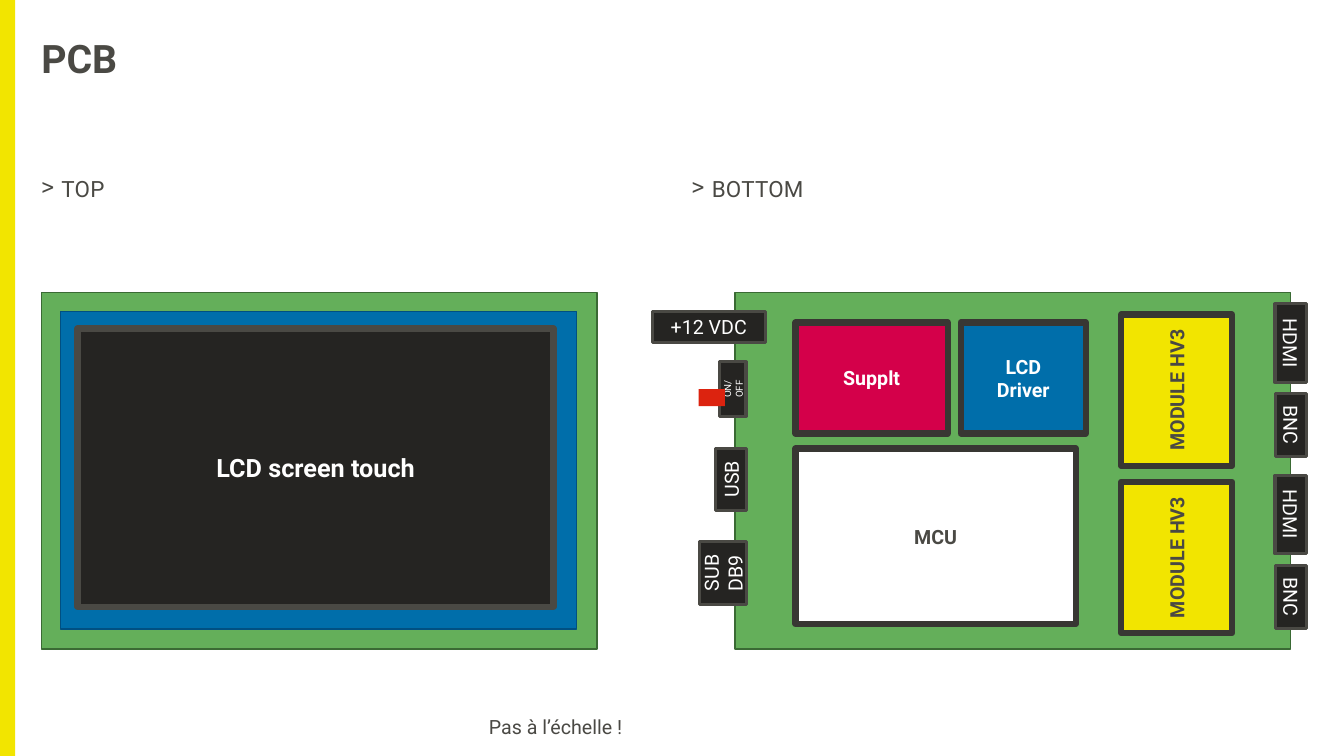
import pptx
import pptx.dml.color
import pptx.enum.shapes
import pptx.enum.text
import pptx.oxml.ns
import pptx.util
import lxml.etree

ALIGN = pptx.enum.text.PP_ALIGN
ANCHOR = pptx.enum.text.MSO_ANCHOR
GREY, DARK, BLACK, WHITE = "4A4944", "383733", "252422", "FFFFFF"
YELLOW, GREEN, BLUE, PINK, RED = "F2E500", "64AF5A", "006EAA", "D4004A", "DC230F"


def rgb(color):
    return pptx.dml.color.RGBColor.from_string(color)


class Board:
    """Draws board parts on one slide, placed on a grid of tenths of an inch."""

    def __init__(self, prs, font="Roboto", cell=0.1):
        self.slide = prs.slides.add_slide(prs.slide_layouts[6])
        self.font, self.cell = font, cell

    def grid(self, *lengths):
        return [pptx.util.Inches(n * self.cell) for n in lengths]

    def fill_text(self, tf, text, size, color, bold=False, **para):
        for i, line in enumerate(text.split("\n")):
            p = tf.add_paragraph() if i else tf.paragraphs[0]
            for name, value in para.items():
                setattr(p, name, value)
            r = p.add_run()
            r.text = line
            fmt = {"name": self.font, "size": pptx.util.Pt(size), "bold": bold}
            for name, value in fmt.items():
                setattr(r.font, name, value)
            r.font.color.rgb = rgb(color)

    def rect(self, at, fill, line=None, width=0, turn=0):
        rectangle = pptx.enum.shapes.MSO_SHAPE.RECTANGLE
        sp = self.slide.shapes.add_shape(rectangle, *self.grid(*at))
        sp.shadow.inherit = False
        sp.rotation = turn
        sp.fill.solid()
        sp.fill.fore_color.rgb = rgb(fill)
        if line:
            sp.line.color.rgb = rgb(line)
            sp.line.width = pptx.util.Pt(width)
        else:
            sp.line.fill.background()
        return sp

    def label(self, sp, text, size, color, bold):
        sp.text_frame.word_wrap = True
        sp.text_frame.vertical_anchor = ANCHOR.MIDDLE
        self.fill_text(sp.text_frame, text, size, color, bold, alignment=ALIGN.CENTER)

    def block(self, at, text, fill, color=WHITE, line=DARK, size=14, turn=0):
        self.label(self.rect(at, fill, line, 4.5, turn), text, size, color, True)

    def port(self, at, text, turn=0, size=14, vert=None):
        sp = self.rect(at, BLACK, GREY, 2.25, turn)
        self.label(sp, text, size, WHITE, False)
        if vert:
            sp.text_frame._txBody.bodyPr.set("vert", vert)

    def text(self, at, text, size, bold=False, wrap=True, inset=None, **para):
        tf = self.slide.shapes.add_textbox(*self.grid(*at)).text_frame
        tf.word_wrap = wrap
        if inset is not None:
            for side in ("left", "top", "right", "bottom"):
                setattr(tf, f"margin_{side}", inset)
        self.fill_text(tf, text, size, GREY, bold, **para)
        return tf.paragraphs[0]

    def heading(self, at, text):
        p = self.text(at, text, 16, inset=0, space_after=pptx.util.Pt(2))
        p.runs[0].font._element.set("spc", "20")
        pPr = p._p.get_or_add_pPr()
        indent = self.grid(2)[0]
        pPr.set("marL", str(indent))
        pPr.set("indent", str(-indent))
        bullet = lxml.etree.SubElement(pPr, pptx.oxml.ns.qn("a:buChar"))
        bullet.set("char", ">")


def main():
    prs = pptx.Presentation()
    prs.slide_width = pptx.util.Inches(13.33)
    prs.slide_height = pptx.util.Inches(7.5)
    board = Board(prs)

    board.rect((0, 0, 1.5, 75), YELLOW)
    board.text((4.1, 3.9, 125.2, 4), "PCB", 28, bold=True, inset=0, line_spacing=0.9)
    for col, name in ((4.1, "TOP"), (68.6, "BOTTOM")):
        board.heading((col, 17.4, 60.6, 3.1), name)
    for col in (4.1, 72.9):
        board.rect((col, 29, 55.1, 35.4), GREEN, "3A6A34", 1)

    board.rect((6, 30.9, 51.2, 31.5), BLUE, "005082", 1)
    board.block((7.7, 32.6, 47.2, 27.6), "LCD screen touch", BLACK, line=GREY, size=18)

    board.port((64.7, 30.9, 11.2, 3.1), "+12 VDC")
    board.port((71.4, 35.9, 2.6, 5.4), "ON/ OFF", size=7, vert="vert270")
    board.rect((69.3, 38.6, 2.6, 1.7), RED)
    board.port((69.4, 46, 6.2, 3.1), "USB", turn=270)
    board.port((68.6, 54.5, 6.2, 4.7), "SUB\nDB9", turn=270)

    board.block((78.9, 32, 15.1, 11), "Supplt", PINK)
    board.block((95.3, 32, 12.4, 11), "LCD\nDriver", BLUE)
    board.block((78.9, 44.5, 27.8, 17.4), "MCU", WHITE, GREY)

    for k in range(2):
        module = (109.2, 33.2 + 16.6 * k, 15, 11)
        board.block(module, "MODULE HV3", YELLOW, GREY, turn=270)
        board.port((124.1, 32.5 + 17 * k, 7.8, 3.1), "HDMI", turn=90)
        board.port((124.9, 40.6 + 17.1 * k, 6.3, 3.1), "BNC", turn=90)

    board.text((47.5, 70.4, 15.7, 3.4), "Pas à l’échelle !", 14, wrap=False)
    prs.save("out.pptx")


if __name__ == "__main__":
    main()
